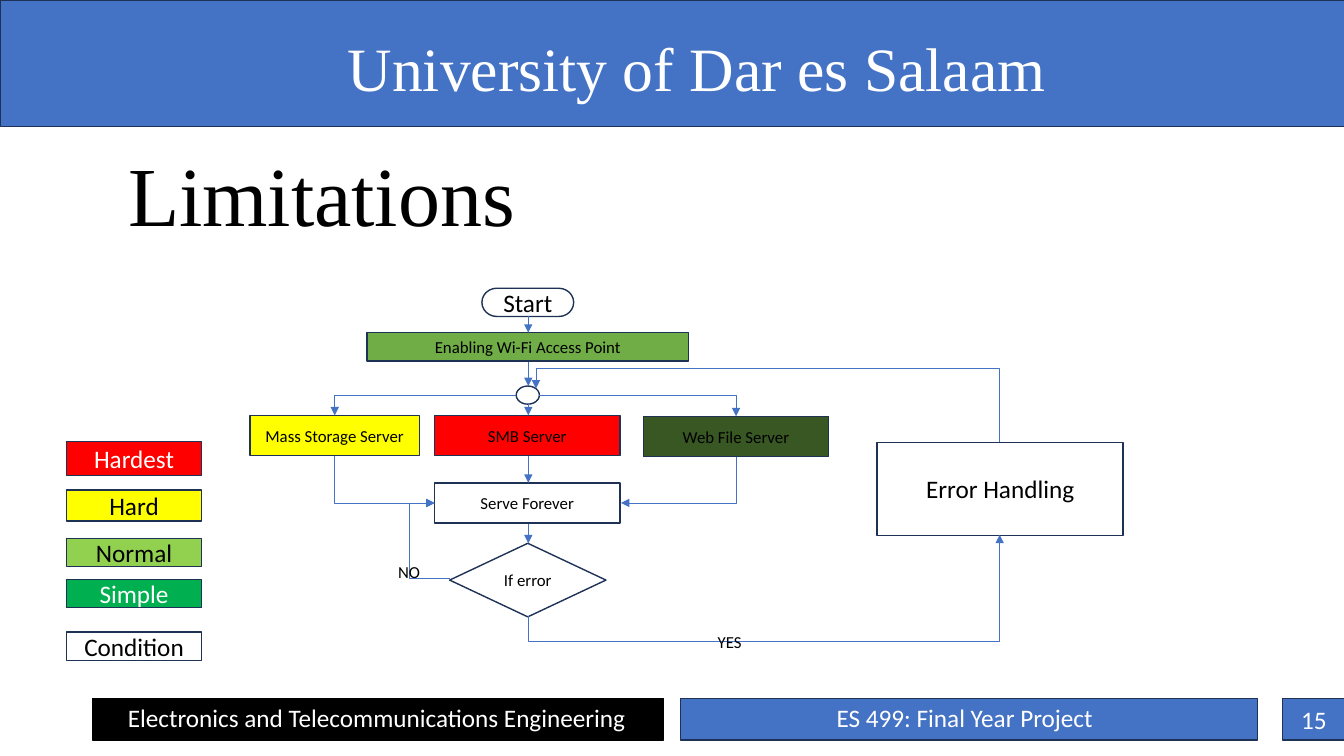
from lxml import etree
from pptx import Presentation
from pptx import util as u
from pptx.dml.color import RGBColor
from pptx.enum import shapes, text
from pptx.oxml import ns

COLORS = {
    "blue": "4472C4", "navy": "1E3256", "white": "FFFFFF", "black": "000000",
    "red": "FF0000", "yellow": "FFFF00", "leaf": "70AD47", "forest": "385723",
    "lime": "92D050", "green": "00B050",
}
RGB = {name: RGBColor.from_string(value) for name, value in COLORS.items()}
KIND = shapes.MSO_SHAPE
ALIGN = text.PP_ALIGN
ANCHOR = text.MSO_ANCHOR

deck = Presentation()
deck.slide_width, deck.slide_height = u.Inches(13.33), u.Inches(7.5)
slide = deck.slides.add_slide(deck.slide_layouts[5])


def write(holder, words, size, color="black", font="Calibri",
          align=ALIGN.LEFT, anchor=ANCHOR.TOP, wrap=True):
    frame = holder.text_frame
    frame.text = words
    frame_format = {"word_wrap": wrap, "vertical_anchor": anchor,
                    "auto_size": text.MSO_AUTO_SIZE.NONE}
    for name, value in frame_format.items():
        setattr(frame, name, value)
    paragraph = frame.paragraphs[0]
    paragraph.alignment = align
    for name, value in {"size": u.Pt(size), "name": font}.items():
        setattr(paragraph.font, name, value)
    paragraph.font.color.rgb = RGB[color]


def link(start, start_site, end, end_site, box, preset="line",
         rot=0, flips="", adjust=None):
    """Join two flowchart nodes; box is the unrotated frame of the route."""
    left, top, width, height = box
    kind = shapes.MSO_CONNECTOR.STRAIGHT if preset == "line" else shapes.MSO_CONNECTOR.ELBOW
    arrow = slide.shapes.add_connector(
        kind, *map(u.Inches, (left, top, left + width, top + height)))
    arrow.line.color.rgb = RGB["blue"]
    arrow.line.width = u.Pt(0.5)
    glue = arrow._element.find(".//" + ns.qn("p:cNvCxnSpPr"))
    for tag, node, site in (("a:stCxn", start, start_site), ("a:endCxn", end, end_site)):
        etree.SubElement(glue, ns.qn(tag), id=str(nodes[node].shape_id), idx=str(site))
    properties = arrow._element.spPr
    frame = properties.find(ns.qn("a:xfrm"))
    if rot:
        frame.set("rot", str(rot * 60000))
    for axis in flips:
        frame.set("flip" + axis, "1")
    geometry = properties.find(ns.qn("a:prstGeom"))
    geometry.set("prst", preset)
    if adjust is not None:
        etree.SubElement(geometry.find(ns.qn("a:avLst")), ns.qn("a:gd"),
                         name="adj1", fmla=f"val {round(adjust * 100000)}")
    etree.SubElement(properties.find(ns.qn("a:ln")), ns.qn("a:tailEnd"), type="triangle")
    etree.SubElement(properties, ns.qn("a:effectLst"))


title = slide.shapes.title
title_place = {"left": 1.17, "top": 1.23, "width": 10.5, "height": 1.25}
for side, length in title_place.items():
    setattr(title, side, u.Inches(length))
write(title, "Limitations", 60, font="Times New Roman", anchor=ANCHOR.BOTTOM)
title.text_frame.paragraphs[0].line_spacing = 0.9

# Bands, flowchart nodes and legend: name, kind, box, fill, line, width, words, size, colour
legend = [
    ("Hardest", 4.38, 0.34, "red", "white"),
    ("Hard", 4.86, 0.31, "yellow", "black"),
    ("Normal", 5.34, 0.28, "lime", "black"),
    ("Simple", 5.75, 0.28, "green", "white"),
    ("Condition", 6.27, 0.28, "white", "black"),
]
blocks = [
    ("header", KIND.RECTANGLE, (0, 0, 13.33, 1.25), "blue", "navy", 0.25, "", 18, "white"),
    ("department", KIND.RECTANGLE, (0.92, 6.93, 5.66, 0.41), "black", "black", 1, "", 18, "white"),
    ("course", KIND.RECTANGLE, (6.75, 6.93, 5.72, 0.41), "blue", "navy", 1, "", 18, "white"),
    ("page", KIND.RECTANGLE, (12.72, 6.93, 0.62, 0.41), "blue", "navy", 1, "15", 18, "white"),
]
flow = [
    ("start", KIND.FLOWCHART_TERMINATOR, (4.78, 2.86, 0.91, 0.28), "white", "Start", 18),
    ("wifi", KIND.RECTANGLE, (3.64, 3.3, 3.19, 0.28), "leaf", "Enabling Wi-Fi Access Point", 12),
    ("hub", KIND.OVAL, (5.12, 3.83, 0.23, 0.18), "white", "", 12),
    ("storage", KIND.RECTANGLE, (2.48, 4.12, 1.68, 0.4), "yellow", "Mass Storage Server", 12),
    ("smb", KIND.RECTANGLE, (4.31, 4.12, 1.84, 0.4), "red", "SMB Server", 12),
    ("web", KIND.RECTANGLE, (6.38, 4.13, 1.84, 0.4), "forest", "Web File Server", 12),
    ("serve", KIND.RECTANGLE, (4.31, 4.79, 1.84, 0.4), "white", "Serve Forever", 12),
    ("check", KIND.DIAMOND, (4.46, 5.39, 1.55, 0.73), "white", "If error", 12),
    ("handling", KIND.RECTANGLE, (8.7, 4.39, 2.44, 0.92), "white", "Error Handling", 18),
]
blocks += [(name, kind, box, fill, "navy", 1, words, size, "black")
           for name, kind, box, fill, words, size in flow]
blocks += [(level, KIND.RECTANGLE, (0.66, top, 1.34, height), fill, "navy", 1, level, 18, color)
           for level, top, height, fill, color in legend]

nodes = {}
for name, kind, box, fill, line, width, words, size, color in blocks:
    block = slide.shapes.add_shape(kind, *map(u.Inches, box))
    block.shadow.inherit = False
    block.fill.solid()
    block.fill.fore_color.rgb = RGB[fill]
    block.line.color.rgb = RGB[line]
    block.line.width = u.Pt(width)
    if words:
        write(block, words, size, color, align=ALIGN.CENTER, anchor=ANCHOR.MIDDLE)
    nodes[name] = block

# Connection sites run anticlockwise from the top: 4 on a box, 8 on the oval hub
axis = 5.24
for start, start_site, end, top, bottom in [
    ("start", 2, "wifi", 3.14, 3.3),
    ("wifi", 2, "hub", 3.59, 3.83),
    ("hub", 4, "smb", 4.01, 4.12),
    ("smb", 2, "serve", 4.52, 4.79),
    ("serve", 2, "check", 5.2, 5.39),
]:
    link(start, start_site, end, 0, (axis, top, 0, bottom - top))

corner, detour = "bentConnector2", "bentConnector3"
link("hub", 6, "web", 0, (5.35, 3.92, 1.95, 0.21), corner)
link("hub", 2, "storage", 0, (3.32, 3.92, 1.8, 0.2), corner, 180, "V")
link("storage", 2, "serve", 1, (3.58, 4.26, 0.47, 0.99), corner, 270, "H")
link("web", 2, "serve", 3, (6.5, 4.19, 0.46, 1.14), corner, 90)
link("check", 1, "serve", 1, (4.31, 4.99, 0.15, 0.75), detour, 180, adjust=2.68)
link("check", 2, "handling", 2, (7.17, 3.37, 0.81, 4.68), detour, 90, "HV", -0.31)
link("handling", 0, "hub", 7, (7.35, 1.82, 0.53, 4.6), detour, 270, "V", 1.37)

for words, box, size, color, font, wrap in [
    ("University of Dar es Salaam", (3.35, 0.25, 7.79, 0.84), 44, "white", "Times New Roman", True),
    ("Electronics and Telecommunications Engineering", (1.17, 6.92, 5.17, 0.4), 18, "white",
     "Calibri", True),
    ("ES 499: Final Year Project", (8.2, 6.92, 2.77, 0.4), 18, "white", "Calibri", False),
    ("NO", (3.85, 5.52, 0.54, 0.3), 12, "black", "Calibri", True),
    ("YES", (7.02, 6.22, 0.83, 0.3), 12, "black", "Calibri", True),
]:
    label = slide.shapes.add_textbox(*map(u.Inches, box))
    write(label, words, size, color, font, wrap=wrap)

deck.save("out.pptx")
